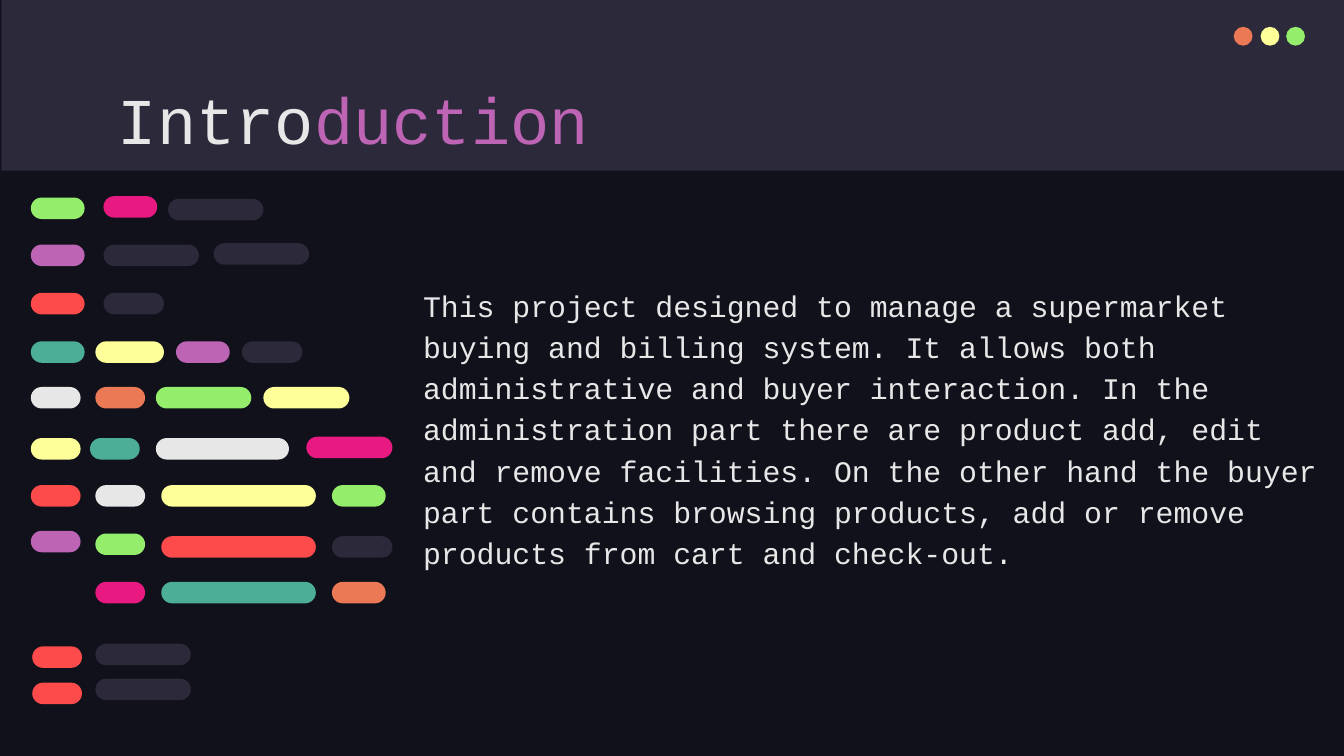
from dataclasses import dataclass

from pptx import Presentation
from pptx.dml.color import RGBColor
from pptx.enum import shapes, text
from pptx.util import Inches, Pt


@dataclass(frozen=True)
class Theme:
    night: str = "10111A"
    slate: str = "2C293A"
    white: str = "E7E7E7"
    orange: str = "EC7955"
    yellow: str = "FFFF99"
    green: str = "94EE6B"
    purple: str = "BD64B5"
    pink: str = "E81A81"
    red: str = "FD4A4A"
    teal: str = "4CAE97"
    font: str = "Courier New"
    title_size: int = 35
    body_size: int = 16


@dataclass(frozen=True)
class Pill:
    left: float
    top: float
    width: float
    color: str


@dataclass(frozen=True)
class Box:
    left: float
    top: float
    width: float
    height: float


T = Theme()
SLIDE_WIDTH = 10
SLIDE_HEIGHT = SLIDE_WIDTH * 9 / 16
PILL_HEIGHT = 0.16
DOT_SIZE = 0.14
TINY, SHORT, MEDIUM, WIDE, LONG = 0.37, 0.4, 0.45, 0.71, 1.15

CODE_PILLS = [
    Pill(0.23, 1.47, SHORT, T.green),
    Pill(0.77, 1.46, SHORT, T.pink),
    Pill(1.25, 1.48, WIDE, T.slate),
    Pill(0.23, 1.82, SHORT, T.purple),
    Pill(0.77, 1.82, WIDE, T.slate),
    Pill(1.59, 1.81, WIDE, T.slate),
    Pill(0.23, 2.18, SHORT, T.red),
    Pill(0.77, 2.18, MEDIUM, T.slate),
    Pill(0.23, 2.54, SHORT, T.teal),
    Pill(0.71, 2.54, 0.51, T.yellow),
    Pill(1.31, 2.54, SHORT, T.purple),
    Pill(1.8, 2.54, MEDIUM, T.slate),
    Pill(0.23, 2.88, TINY, T.white),
    Pill(0.71, 2.88, TINY, T.orange),
    Pill(1.16, 2.88, WIDE, T.green),
    Pill(1.96, 2.88, 0.64, T.yellow),
    Pill(0.23, 3.26, TINY, T.yellow),
    Pill(0.67, 3.26, TINY, T.teal),
    Pill(1.16, 3.26, 0.99, T.white),
    Pill(2.28, 3.25, 0.64, T.pink),
    Pill(0.23, 3.61, TINY, T.red),
    Pill(0.71, 3.61, TINY, T.white),
    Pill(1.2, 3.61, LONG, T.yellow),
    Pill(2.47, 3.61, SHORT, T.green),
    Pill(0.23, 3.95, TINY, T.purple),
    Pill(0.71, 3.97, TINY, T.green),
    Pill(1.2, 3.99, LONG, T.red),
    Pill(2.47, 3.99, MEDIUM, T.slate),
    Pill(0.71, 4.33, TINY, T.pink),
    Pill(1.2, 4.33, LONG, T.teal),
    Pill(2.47, 4.33, SHORT, T.orange),
    Pill(0.24, 4.81, TINY, T.red),
    Pill(0.71, 4.79, WIDE, T.slate),
    Pill(0.24, 5.08, TINY, T.red),
    Pill(0.71, 5.05, WIDE, T.slate),
]

BODY = (
    "This project designed to manage a supermarket buying and billing system. "
    "It allows both administrative and buyer interaction. In the administration "
    "part there are product add, edit and remove facilities. On the other hand "
    "the buyer part contains browsing products, add or remove products from cart "
    "and check-out."
)


def add_solid(s, kind, box: Box, color: str):
    sp = s.shapes.add_shape(
        kind, Inches(box.left), Inches(box.top), Inches(box.width), Inches(box.height)
    )
    sp.shadow.inherit = False
    sp.fill.solid()
    sp.fill.fore_color.rgb = RGBColor.from_string(color)
    sp.line.fill.background()
    return sp


def add_pill(s, pill: Pill) -> None:
    box = Box(pill.left, pill.top, pill.width, PILL_HEIGHT)
    add_solid(s, shapes.MSO_SHAPE.ROUNDED_RECTANGLE, box, pill.color).adjustments[0] = 0.5


def add_text(s, box: Box, runs: list[tuple[str, str]], size: int, spacing: float) -> None:
    sp = s.shapes.add_textbox(
        Inches(box.left), Inches(box.top), Inches(box.width), Inches(box.height)
    )
    tf = sp.text_frame
    tf.word_wrap = True
    tf.vertical_anchor = text.MSO_ANCHOR.TOP
    tf.margin_left = tf.margin_right = tf.margin_top = tf.margin_bottom = Inches(0.1)
    p = tf.paragraphs[0]
    p.line_spacing = spacing
    for words, color in runs:
        r = p.add_run()
        r.text = words
        r.font.name = T.font
        r.font.size = Pt(size)
        r.font.color.rgb = RGBColor.from_string(color)


def main() -> None:
    prs = Presentation()
    prs.slide_width, prs.slide_height = Inches(SLIDE_WIDTH), Inches(SLIDE_HEIGHT)
    s = prs.slides.add_slide(prs.slide_layouts[6])
    s.background.fill.solid()
    s.background.fill.fore_color.rgb = RGBColor.from_string(T.night)

    add_solid(s, shapes.MSO_SHAPE.RECTANGLE, Box(0.01, 0, SLIDE_WIDTH, 1.27), T.slate)
    for left, color in zip((9.18, 9.38, 9.57), (T.orange, T.yellow, T.green)):
        add_solid(s, shapes.MSO_SHAPE.OVAL, Box(left, 0.2, DOT_SIZE, DOT_SIZE), color)

    title = [("Intro", T.white), ("duction", T.purple)]
    add_text(s, Box(0.78, 0.49, 8.43, 0.63), title, T.title_size, 1.0)
    add_text(s, Box(3.05, 2, 6.98, 2.87), [(BODY, T.white)], T.body_size, 1.15)
    for pill in CODE_PILLS:
        add_pill(s, pill)

    prs.save("out.pptx")


if __name__ == "__main__":
    main()
